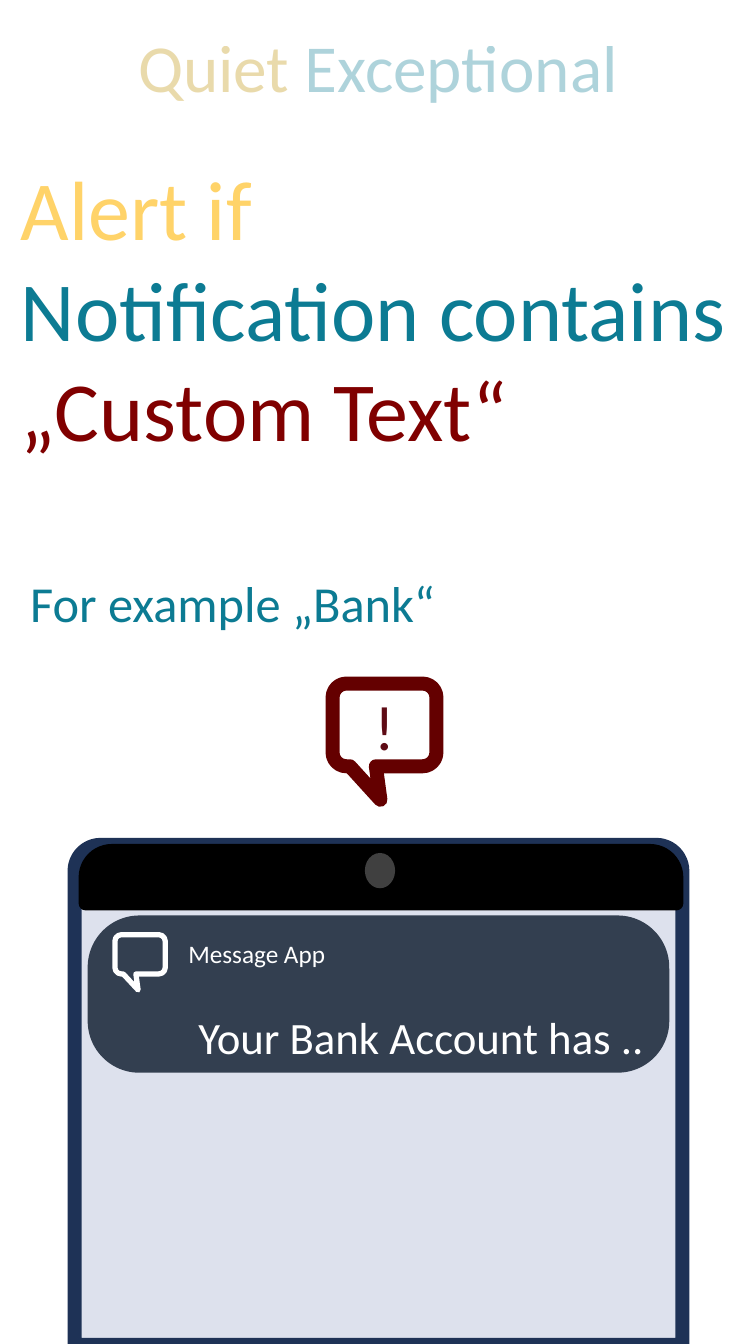
from lxml import etree
from pptx import Presentation
from pptx.dml.color import RGBColor
from pptx.enum import shapes, text
from pptx.oxml import ns
from pptx.util import Inches, Pt

WHITE = RGBColor(0xFF, 0xFF, 0xFF)
BLACK = RGBColor(0, 0, 0)
GOLD = RGBColor(0xBF, 0x90, 0x00)
YELLOW = RGBColor(0xFF, 0xD3, 0x69)
TEAL = RGBColor(0x0C, 0x7B, 0x93)
RED = RGBColor(0x80, 0, 0)
DARK_RED = RGBColor(0x64, 0, 0)
WINE = RGBColor(0x5E, 0x0B, 0x15)
NAVY = RGBColor(0x1E, 0x32, 0x56)
SCREEN = RGBColor(0xDD, 0xE1, 0xED)
SLATE = RGBColor(0x33, 0x3F, 0x50)
GREY = RGBColor(0x40, 0x40, 0x40)

KIND = shapes.MSO_SHAPE
ALIGN = text.PP_ALIGN
MIDDLE = text.MSO_ANCHOR.MIDDLE

deck = Presentation()
deck.slide_width = Inches(7.5)
deck.slide_height = Inches(13.33)
page = deck.slides.add_slide(deck.slide_layouts[5])


def add_figure(parent, kind, place, adjustments=(), fill=None, line=None, width=10):
    figure = parent.shapes.add_shape(kind, *map(Inches, place))
    figure.shadow.inherit = False
    for index, value in enumerate(adjustments):
        figure.adjustments[index] = value
    if fill is None:
        figure.fill.background()
    else:
        figure.fill.solid()
        figure.fill.fore_color.rgb = fill
    if line is None:
        figure.line.fill.background()
    else:
        figure.line.color.rgb = line
        figure.line.width = Pt(width)
    return figure


def write(para, words, size, color, align=ALIGN.LEFT):
    para.alignment = align
    span = para.add_run()
    span.text = words
    for name, value in {"name": "Calibri", "size": Pt(size)}.items():
        setattr(span.font, name, value)
    span.font.color.rgb = color
    return span


add_figure(page, KIND.ROUND_2_SAME_RECTANGLE, (0.74, 8.38, 6.03, 4.96), (0.052, 0), SCREEN, NAVY)
add_figure(page, KIND.ROUND_2_SAME_RECTANGLE, (0.85, 8.44, 5.86, 0.52), (0.5, 0), BLACK, BLACK)
add_figure(page, KIND.OVAL, (3.62, 8.46, 0.3, 0.35), fill=GREY)

bubble = (-0.039, 0.906, 0.167)
alert = add_figure(page, KIND.ROUNDED_RECTANGULAR_CALLOUT, (3.3, 6.78, 1.03, 0.82), bubble, line=DARK_RED)
alert.text_frame.vertical_anchor = MIDDLE
write(alert.text_frame.paragraphs[0], "!", 45, WINE, ALIGN.CENTER)

notification = page.shapes.add_group_shape()
card = add_figure(notification, KIND.ROUNDED_RECTANGLE, (0.87, 9.08, 5.77, 1.56), (0.329,), SLATE)
frame = {"vertical_anchor": MIDDLE, "margin_top": Inches(0.85), "margin_bottom": 0}
for name, value in frame.items():
    setattr(card.text_frame, name, value)
write(card.text_frame.paragraphs[0], "Your Bank Account has ..", 32, WHITE, ALIGN.RIGHT)
add_figure(notification, KIND.ROUNDED_RECTANGULAR_CALLOUT, (1.14, 9.27, 0.5, 0.39), bubble, line=WHITE, width=3.75)

labels = [
    (page, (0.11, 1.5, 7.27, 3.13), 60,
     [("Alert if", YELLOW), ("Notification contains", TEAL), ("„Custom Text“", RED)]),
    (page, (0.2, 5.62, 4.26, 0.71), 36, [("For example „Bank“", TEAL)]),
    (notification, (1.77, 9.26, 1.57, 0.4), 18, [("Message App", WHITE)]),
]
for parent, place, size, lines in labels:
    box = parent.shapes.add_textbox(*map(Inches, place))
    box.text_frame.word_wrap = False
    for index, (words, color) in enumerate(lines):
        para = box.text_frame.add_paragraph() if index else box.text_frame.paragraphs[0]
        write(para, words, size, color)

title = page.shapes.title
position = {"left": 0.61, "top": 0.2, "width": 6.28, "height": 0.91}
for name, value in position.items():
    setattr(title, name, Inches(value))
title.text_frame.auto_size = text.MSO_AUTO_SIZE.NONE
title.text_frame.vertical_anchor = MIDDLE
for words, color in [("Quiet ", GOLD), ("Exceptional", TEAL)]:
    span = write(title.text_frame.paragraphs[0], words, 48, color, ALIGN.CENTER)
    tint = span.font.fill._xPr.find(".//" + ns.qn("a:srgbClr"))
    etree.SubElement(tint, ns.qn("a:alpha"), val="33000")

deck.save("out.pptx")
